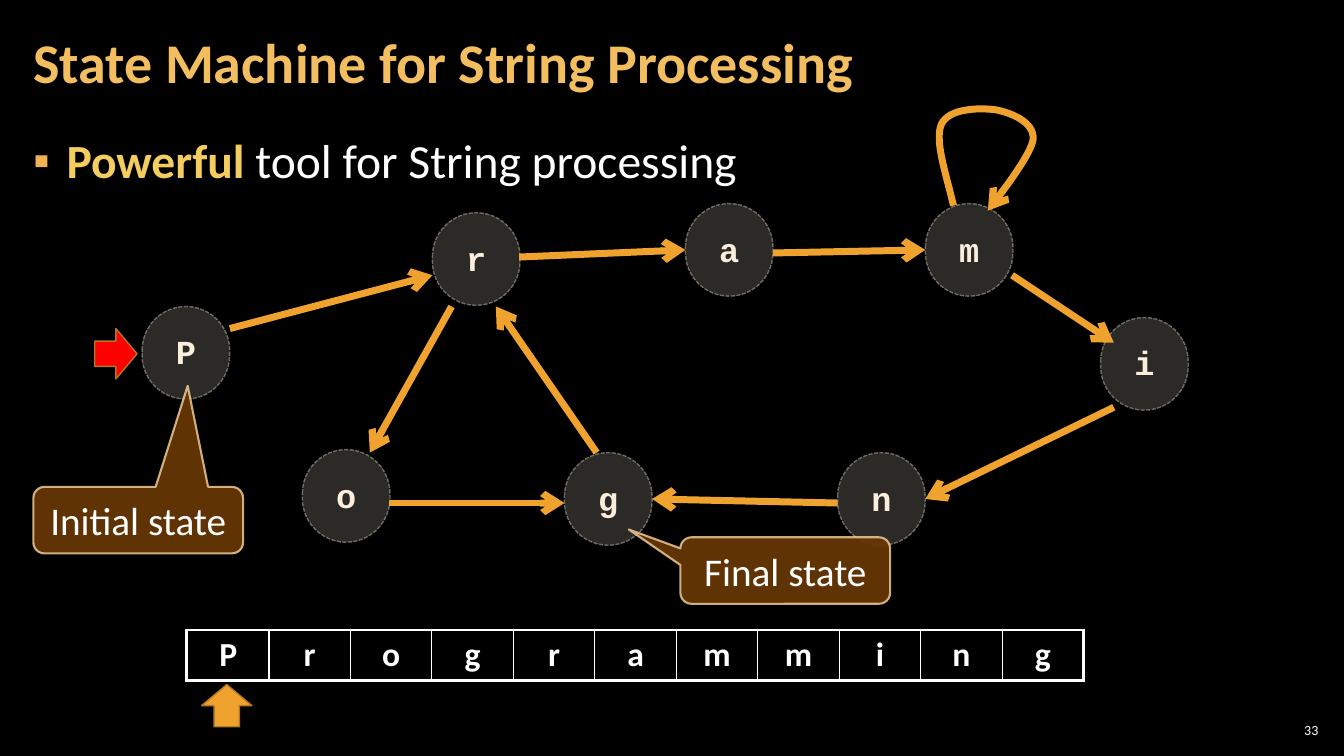
from typing import NamedTuple, Optional

from lxml import etree
from pptx import Presentation
from pptx.dml.color import RGBColor
from pptx.enum.dml import MSO_LINE
from pptx.enum.shapes import MSO_CONNECTOR, MSO_SHAPE
from pptx.enum.text import MSO_ANCHOR, MSO_AUTO_SIZE, PP_ALIGN
from pptx.oxml.ns import qn
from pptx.util import Pt

LEFT, CENTER, RIGHT = PP_ALIGN.LEFT, PP_ALIGN.CENTER, PP_ALIGN.RIGHT
TOP, MIDDLE = MSO_ANCHOR.TOP, MSO_ANCHOR.MIDDLE
ROUND, CALLOUT = MSO_SHAPE.ROUNDED_RECTANGLE, MSO_SHAPE.ROUNDED_RECTANGULAR_CALLOUT
ARROW, STRAIGHT, DASH = MSO_SHAPE.RIGHT_ARROW, MSO_CONNECTOR.STRAIGHT, MSO_LINE.SQUARE_DOT
SIDE_LEFT, SIDE_RIGHT = 1, 3
COLORS = {
    "black": "000000", "white": "FFFFFF", "title": "F3BE60", "strong": "F3CD60",
    "bullet": "F2B254", "state": "D9D5C7", "state_line": "C7BFAC", "letter": "FBEEDC",
    "arrow": "F0A22E", "arrow_line": "B27822", "start": "FF0000",
    "callout": "663606", "callout_line": "F8D49E",
}
WORD = "Programming"


class State(NamedTuple):
    letter: str
    x: float
    y: float


class Transition(NamedTuple):
    start: tuple[float, float]
    end: tuple[float, float]
    target: Optional[str] = None
    side: int = SIDE_LEFT


class Callout(NamedTuple):
    text: str
    x: float
    y: float
    tip: tuple[float, float]


class Pointer(NamedTuple):
    x: float
    y: float
    color: str
    rotation: int


STATES = [
    State("P", 101.5, 218.9), State("r", 308.9, 151.9), State("o", 216, 321.1),
    State("g", 403.2, 323.3), State("a", 489.6, 145.4), State("m", 661, 145.4),
    State("n", 598.3, 323.3), State("i", 786.2, 226.8),
]
TRANSITIONS = [
    Transition((164.2, 234.7), (308.9, 196.6)),
    Transition((322.6, 218.9), (264.2, 323.3)),
    Transition((277.9, 359.3), (403.2, 359.3)),
    Transition((426.2, 323.3), (354.2, 218.9)),
    Transition((370.8, 183.6), (489.6, 178.5), "a"),
    Transition((552.2, 180.7), (661, 178.5), "m"),
    Transition((722.9, 196.6), (795.6, 244.8)),
    Transition((795.6, 290.9), (660.9, 356.4), "n", SIDE_RIGHT),
    Transition((598.3, 359.3), (465.8, 356.4), "g", SIDE_RIGHT),
]
CALLOUTS = [Callout("Initial state", 23.8, 347.8, (0.236, -2.02)),
            Callout("Final state", 486, 383.8, (-0.746, -0.618))]
POINTERS = [Pointer(146.9, 486, "arrow", 270), Pointer(67.7, 234.7, "start", 0)]
LOOP_START = (681.1, 146.9)
LOOP_CURVES = [
    ((675.4, 123.1), (667.4, 100.1), (672.5, 88.6)),
    ((678.2, 77), (700.6, 77), (711.4, 78.5)),
    ((722.2, 80.6), (738.7, 87.1), (738, 99.4)),
    ((736.6, 110.9), (712.8, 141.1), (705.6, 150.5)),
]


def rgb(name: str) -> RGBColor:
    return RGBColor.from_string(COLORS[name])


def box(*lengths: float) -> tuple:
    return tuple(Pt(length) for length in lengths)


def add_run(p, text: str, size: float, color: str, bold=False, font="Calibri") -> None:
    r = p.add_run()
    r.text = text
    r.font.size, r.font.bold, r.font.name = Pt(size), bold, font
    r.font.color.rgb = rgb(color)


def frame(tf, anchor, align, side: float = 8.6, edge: float = 2.9):
    tf.word_wrap, tf.auto_size, tf.vertical_anchor = True, MSO_AUTO_SIZE.NONE, anchor
    tf.margin_left = tf.margin_right = Pt(side)
    tf.margin_top = tf.margin_bottom = Pt(edge)
    tf.paragraphs[0].alignment = align
    return tf.paragraphs[0]


def paint(sp, fill: str, line: str, width: float, fill_alpha=100, line_alpha=100) -> None:
    sp.shadow.inherit = False
    sp.fill.solid()
    sp.fill.fore_color.rgb, sp.line.color.rgb = rgb(fill), rgb(line)
    sp.line.width = Pt(width)
    spPr = sp.element.spPr
    for parent, percent in ((spPr, fill_alpha), (spPr.find(qn("a:ln")), line_alpha)):
        if percent < 100:
            color = parent.find(f"{qn('a:solidFill')}/{qn('a:srgbClr')}")
            etree.SubElement(color, qn("a:alpha")).set("val", str(percent * 1000))


def arrow_line(sp) -> None:
    sp.line.color.rgb, sp.line.width = rgb("arrow"), Pt(5)
    ln = sp.element.spPr.find(qn("a:ln"))
    etree.SubElement(ln, qn("a:tailEnd")).set("type", "arrow")


def add_state(s, state: State):
    sp = s.shapes.add_shape(ROUND, *box(state.x, state.y, 62.6, 66.2))
    sp.adjustments[0] = 0.5
    paint(sp, "state", "state_line", 1, 20, 50)
    sp.line.dash_style = DASH
    p = frame(sp.text_frame, TOP, CENTER, 11.5, 8.6)
    add_run(p, state.letter, 24, "letter", True, "Courier New")
    return sp


def add_transition(s, t: Transition, nodes: dict) -> None:
    sp = s.shapes.add_connector(STRAIGHT, *box(*t.start, *t.end))
    if t.target:
        sp.end_connect(nodes[t.target], t.side)
    arrow_line(sp)
    etree.SubElement(sp.element.spPr, qn("a:effectLst"))


def add_loop(s, steps: int = 16) -> None:
    points, p0 = [], LOOP_START
    for curve in LOOP_CURVES:
        for t in (i / steps for i in range(1, steps + 1)):
            weights = ((1 - t) ** 3, 3 * t * (1 - t) ** 2, 3 * t * t * (1 - t), t ** 3)
            points.append(box(*(sum(w * q[axis] for w, q in zip(weights, (p0, *curve)))
                                for axis in (0, 1))))
        p0 = curve[-1]
    builder = s.shapes.build_freeform(*box(*LOOP_START), scale=1.0)
    builder.add_line_segments(points, close=False)
    sp = builder.convert_to_shape()
    sp.shadow.inherit = False
    sp.fill.background()
    arrow_line(sp)


def add_callout(s, c: Callout) -> None:
    sp = s.shapes.add_shape(CALLOUT, *box(c.x, c.y, 149.8, 47.5))
    sp.adjustments[0], sp.adjustments[1] = c.tip
    paint(sp, "callout", "callout_line", 1.5, 95, 80)
    add_run(frame(sp.text_frame, MIDDLE, CENTER, 7.2, 3.6), c.text, 28, "white")


def add_row(s, texts: list[str], x: float, width: float, borders: dict) -> None:
    table = s.shapes.add_table(1, len(texts), *box(x, 450, width, 36)).table
    table.first_row = table.horz_banding = False
    for i, text in enumerate(texts):
        table.columns[i].width = Pt(width / len(texts))
        cell = table.cell(0, i)
        cell.fill.background()
        cell.vertical_anchor = MIDDLE
        cell.margin_top = cell.margin_bottom = Pt(2)
        if text:
            p = cell.text_frame.paragraphs[0]
            p.alignment = CENTER
            add_run(p, text, 24, "white", True)
        for k, (side, weight) in enumerate(borders.items()):
            ln = etree.Element(qn(f"a:ln{side}"), w=str(Pt(weight)))
            fill = etree.SubElement(ln, qn("a:solidFill"))
            etree.SubElement(fill, qn("a:srgbClr")).set("val", COLORS["white"])
            cell._tc.get_or_add_tcPr().insert(k, ln)


prs = Presentation()
prs.slide_width, prs.slide_height = box(960, 540)
s = prs.slides.add_slide(prs.slide_layouts[1])
s.background.fill.solid()
s.background.fill.fore_color.rgb = rgb("black")
# Title
sp = s.shapes.title
sp.left, sp.top, sp.width, sp.height = box(15.1, 2.9, 753.8, 87.1)
p = frame(sp.text_frame, MIDDLE, LEFT)
p.line_spacing = 0.9
add_run(p, "State Machine for String Processing", 40, "title", True)
# Bulleted statement
sp = s.placeholders[1]
sp.left, sp.top, sp.width, sp.height = box(15.1, 90.7, 929.5, 438.5)
p = frame(sp.text_frame, TOP, LEFT)
p.space_before, p.space_after = box(0, 6)
pPr = p._p.get_or_add_pPr()
pPr.set("marL", str(Pt(23.8)))
pPr.set("indent", str(-Pt(23.8)))
etree.SubElement(etree.SubElement(pPr, qn("a:buClr")), qn("a:srgbClr")).set("val", COLORS["bullet"])
etree.SubElement(pPr, qn("a:buChar")).set("char", "▪")
add_run(p, "Powerful ", 34, "strong", True)
add_run(p, "tool for String processing", 34, "white")
# Slide number
tf = s.shapes.add_textbox(*box(910.8, 514.1, 33.8, 15.1)).text_frame
add_run(frame(tf, MIDDLE, RIGHT, 2.9), "33", 10, "white")
# Input word, state machine and outer frame of the word
add_row(s, list(WORD), 133.9, 640.2, {"L": 1, "R": 1, "T": 2.25, "B": 2})
nodes = {state.letter: add_state(s, state) for state in STATES}
for t in TRANSITIONS:
    add_transition(s, t, nodes)
add_row(s, [""], 133.2, 640.8, dict.fromkeys("LRTB", 2.25))
add_loop(s)
# Callouts and pointers
for c in CALLOUTS:
    add_callout(s, c)
for pointer in POINTERS:
    sp = s.shapes.add_shape(ARROW, *box(pointer.x, pointer.y, 30.2, 36))
    sp.rotation = pointer.rotation
    paint(sp, pointer.color, "arrow_line", 1)
prs.save("out.pptx")
